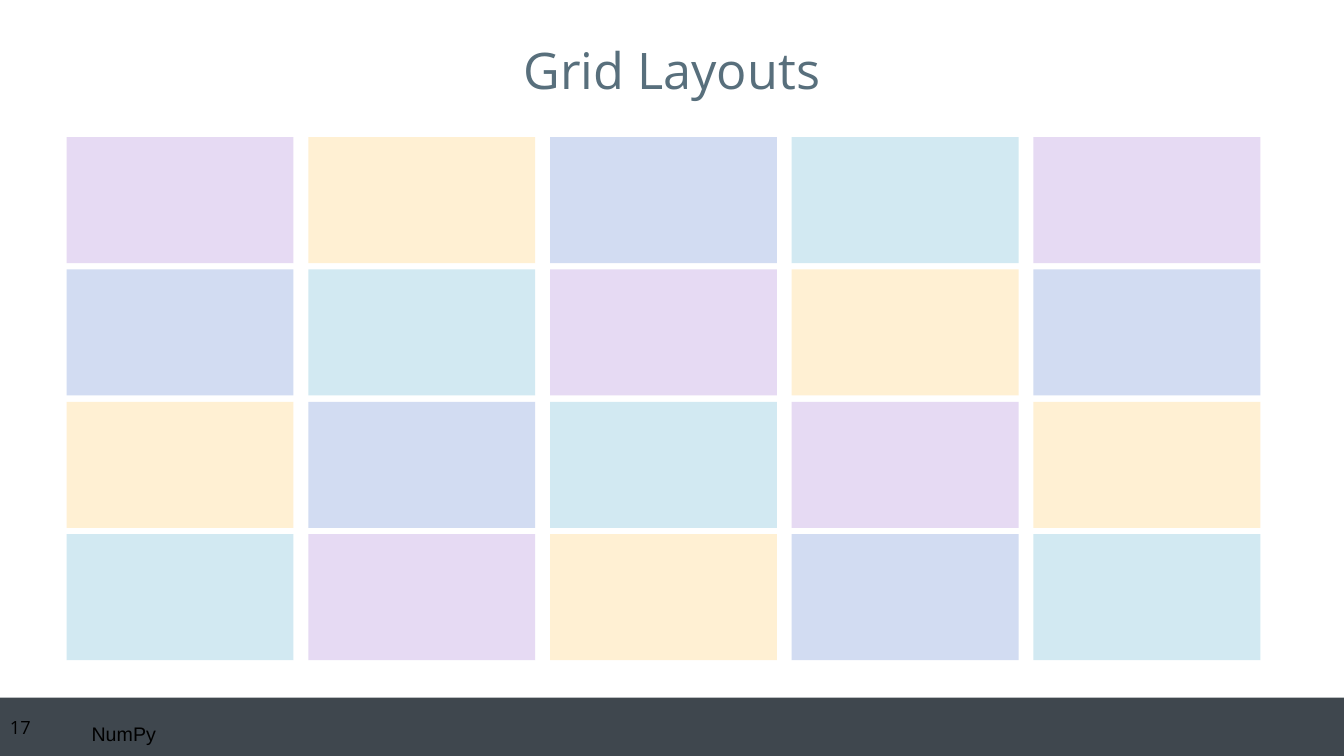
from dataclasses import dataclass
from lxml import etree
from pptx import Presentation
from pptx.dml.color import RGBColor
from pptx.enum.shapes import MSO_SHAPE
from pptx.enum.text import MSO_ANCHOR, PP_ALIGN
from pptx.oxml.ns import qn
from pptx.util import Inches, Pt

RECT = MSO_SHAPE.RECTANGLE
MIDDLE = MSO_ANCHOR.MIDDLE
LEFT, CENTER = PP_ALIGN.LEFT, PP_ALIGN.CENTER


@dataclass(frozen=True)
class Theme:
    head: str = "586F7C"
    bar: str = "3F474E"
    ink: str = "000000"
    sans: str = "Open Sans"
    plain: str = "Arial"
    head_size: int = 36
    foot_size: int = 14
    page_size: int = 13


THEME = Theme()

# Tile tints: colour and opacity in percent
TINTS = {
    "P": ("9866CF", 24),
    "Y": ("FFC553", 25),
    "B": ("4D77CF", 25),
    "T": ("4DABCF", 25),
}
ROWS = ["PYBTP", "BTPYB", "YBTPY", "TPYBT"]


def add_rect(slide, box, color, alpha=100):
    rect = slide.shapes.add_shape(RECT, *map(Inches, box))
    rect.shadow.inherit = False
    rect.line.fill.background()
    rect.fill.solid()
    rect.fill.fore_color.rgb = RGBColor.from_string(color)
    if alpha < 100:
        tint = rect.fill._xPr.find(".//" + qn("a:srgbClr"))
        etree.SubElement(tint, qn("a:alpha"), val=str(alpha * 1000))


def add_text(slide, box, text, size, face, color, align=LEFT, space=1.0):
    frame = slide.shapes.add_textbox(*map(Inches, box)).text_frame
    para = frame.paragraphs[0]
    run = para.add_run()
    formats = [
        (frame, {"word_wrap": True, "vertical_anchor": MIDDLE}),
        (para, {"alignment": align, "line_spacing": space}),
        (run, {"text": text}),
        (run.font, {"size": Pt(size), "name": face}),
    ]
    for part, values in formats:
        for key, value in values.items():
            setattr(part, key, value)
    run.font.color.rgb = RGBColor.from_string(color)


# Centred heading
def add_title(slide, box, text):
    add_text(slide, box, text, THEME.head_size, THEME.sans, THEME.head, CENTER, 0.9)


# Tinted tiles, spread evenly over the box
def add_grid(slide, box, rows, tile):
    left, top, width, height = box
    wide, high = tile
    step_x = (width - wide) / (len(rows[0]) - 1)
    step_y = (height - high) / (len(rows) - 1)
    for r, row in enumerate(rows):
        for c, key in enumerate(row):
            spot = (left + c * step_x, top + r * step_y, wide, high)
            add_rect(slide, spot, *TINTS[key])


# Dark bar with topic and page number
def add_footer(slide, box, topic, page):
    left, top, _, height = box
    add_rect(slide, box, THEME.bar)
    add_text(slide, (left + 0.81, top + 0.14, 6.21, height - 0.14), topic,
             THEME.foot_size, THEME.plain, THEME.ink)
    add_text(slide, (left, top + 0.01, 0.8, height - 0.01), page,
             THEME.page_size, THEME.sans, THEME.ink)


def main():
    deck = Presentation()
    deck.slide_width, deck.slide_height = Inches(13.33), Inches(7.5)
    slide = deck.slides.add_slide(deck.slide_layouts[6])
    add_title(slide, (0, 0, 13.33, 1.45), "Grid Layouts")
    add_grid(slide, (0.66, 1.36, 11.84, 5.19), ROWS, (2.25, 1.25))
    add_footer(slide, (0, 6.92, 13.33, 0.58), "NumPy", "17")
    deck.save("out.pptx")


if __name__ == "__main__":
    main()
